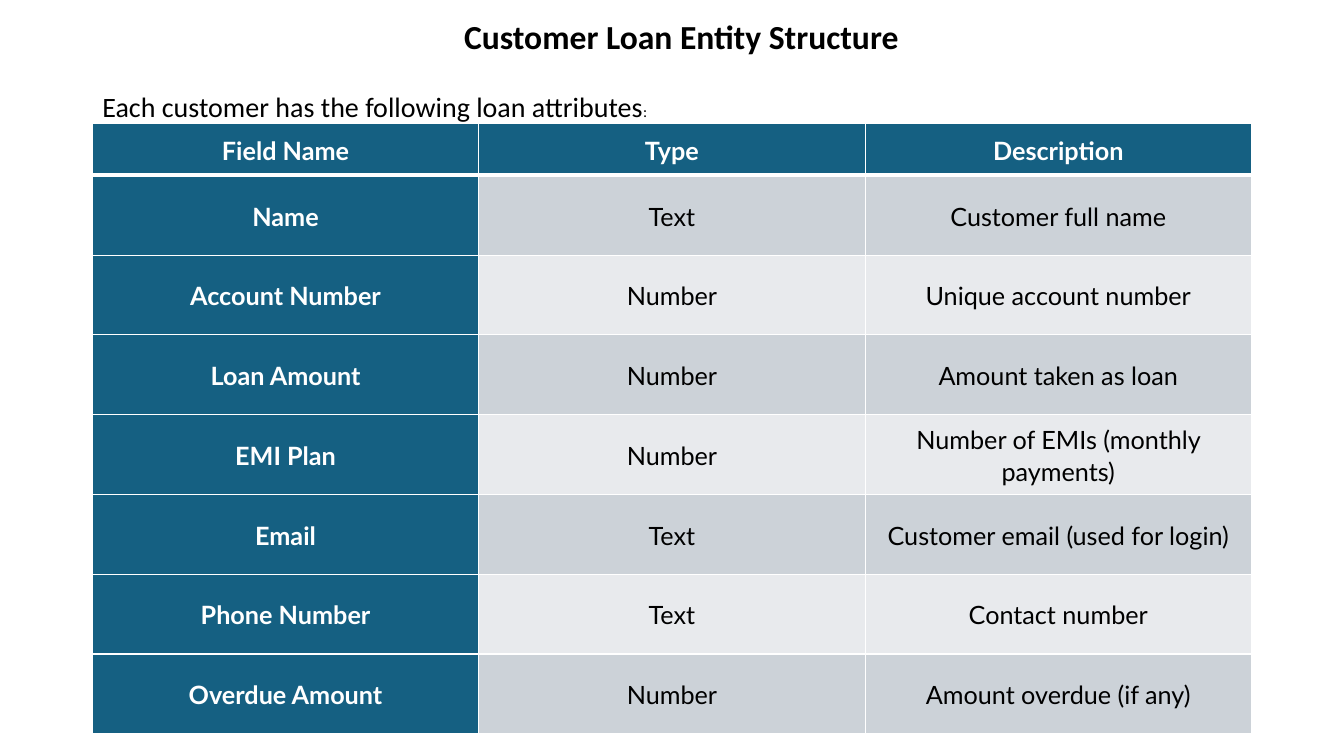
from dataclasses import dataclass

from lxml import etree
from pptx import Presentation
from pptx import util as u
from pptx.dml.color import RGBColor
from pptx.enum import text
from pptx.oxml.ns import qn

PX = 9525
COLORS = {
    "white": "FFFFFF",
    "black": "000000",
    "header": "156082",
    "odd": "CCD2D8",
    "even": "E8EAED",
}


@dataclass(frozen=True)
class Area:
    left: int
    top: int
    width: int
    height: int

    def emu(self) -> list[int]:
        return [n * PX for n in (self.left, self.top, self.width, self.height)]


@dataclass(frozen=True)
class Field:
    name: str
    kind: str
    description: str


TITLE = Area(369, 14, 560, 40)
INTRO = Area(88, 81, 700, 40)
TABLE = Area(88, 118, 1104, 581)
HEADER_HEIGHT, ROW_HEIGHT = 49, 76
FIELDS = [
    Field("Field Name", "Type", "Description"),
    Field("Name", "Text", "Customer full name"),
    Field("Account Number", "Number", "Unique account number"),
    Field("Loan Amount", "Number", "Amount taken as loan"),
    Field("EMI Plan", "Number", "Number of EMIs (monthly payments)"),
    Field("Email", "Text", "Customer email (used for login)"),
    Field("Phone Number", "Text", "Contact number"),
    Field("Overdue Amount", "Number", "Amount overdue (if any)"),
]
CELL_FORMAT = {
    "vertical_anchor": text.MSO_ANCHOR.MIDDLE,
    "margin_left": PX,
    "margin_right": PX,
    "margin_top": PX,
    "margin_bottom": PX,
}
FRAME_FORMAT = {
    "word_wrap": True,
    "auto_size": text.MSO_AUTO_SIZE.NONE,
    "vertical_anchor": text.MSO_ANCHOR.MIDDLE,
}
CELL_PARA = {
    "alignment": text.PP_ALIGN.CENTER,
    "line_spacing": 1.07,
    "space_after": u.Pt(8),
}


def apply(target, values: dict) -> None:
    for key, value in values.items():
        setattr(target, key, value)


def add_span(para, words: str, font: str, size: int, color: str, bold: bool) -> None:
    span = para.add_run()
    span.text = words
    apply(span.font, {"name": font, "size": u.Pt(size), "bold": bold})
    span.font.color.rgb = RGBColor.from_string(COLORS[color])


def add_borders(cell, widths: dict[str, int]) -> None:
    properties = cell._tc.get_or_add_tcPr()
    for index, (side, width) in enumerate(widths.items()):
        line = etree.Element(qn(f"a:ln{side}"), w=str(u.Pt(width)))
        fill = etree.SubElement(line, qn("a:solidFill"))
        etree.SubElement(fill, qn("a:srgbClr"), val=COLORS["white"])
        properties.insert(index, line)


def draw_title(page) -> None:
    box = page.shapes.title
    apply(box, dict(zip(("left", "top", "width", "height"), TITLE.emu())))
    apply(box.text_frame, FRAME_FORMAT)
    para = box.text_frame.paragraphs[0]
    para.alignment = text.PP_ALIGN.CENTER
    add_span(para, "Customer Loan Entity Structure", "Calibri", 24, "black", True)


def draw_intro(page) -> None:
    box = page.shapes.add_textbox(*INTRO.emu())
    apply(box.text_frame, FRAME_FORMAT)
    para = box.text_frame.paragraphs[0]
    add_span(para, "Each customer has the following loan attributes", "Calibri", 20, "black", False)
    add_span(para, ":", "Calibri", 11, "black", False)


def draw_cell(cell, words: str, row: int, column: int) -> None:
    heading = row == 0 or column == 0
    fill = "header" if heading else "odd" if row % 2 else "even"
    apply(cell, CELL_FORMAT)
    cell.fill.solid()
    cell.fill.fore_color.rgb = RGBColor.from_string(COLORS[fill])
    add_borders(cell, {"L": 1, "R": 1, "T": 3 if row == 1 else 1, "B": 3 if row == 0 else 1})
    para = cell.text_frame.paragraphs[0]
    apply(para, CELL_PARA)
    add_span(para, words, "Lato", 18, "white" if heading else "black", heading)


def draw_table(page) -> None:
    table = page.shapes.add_table(len(FIELDS), 3, *TABLE.emu()).table
    for row, field in enumerate(FIELDS):
        table.rows[row].height = (ROW_HEIGHT if row else HEADER_HEIGHT) * PX
        for column, words in enumerate((field.name, field.kind, field.description)):
            draw_cell(table.cell(row, column), words, row, column)


def main() -> None:
    deck = Presentation()
    apply(deck, {"slide_width": 1280 * PX, "slide_height": 720 * PX})
    page = deck.slides.add_slide(deck.slide_layouts[5])
    draw_title(page)
    draw_table(page)
    draw_intro(page)
    deck.save("out.pptx")


if __name__ == "__main__":
    main()
